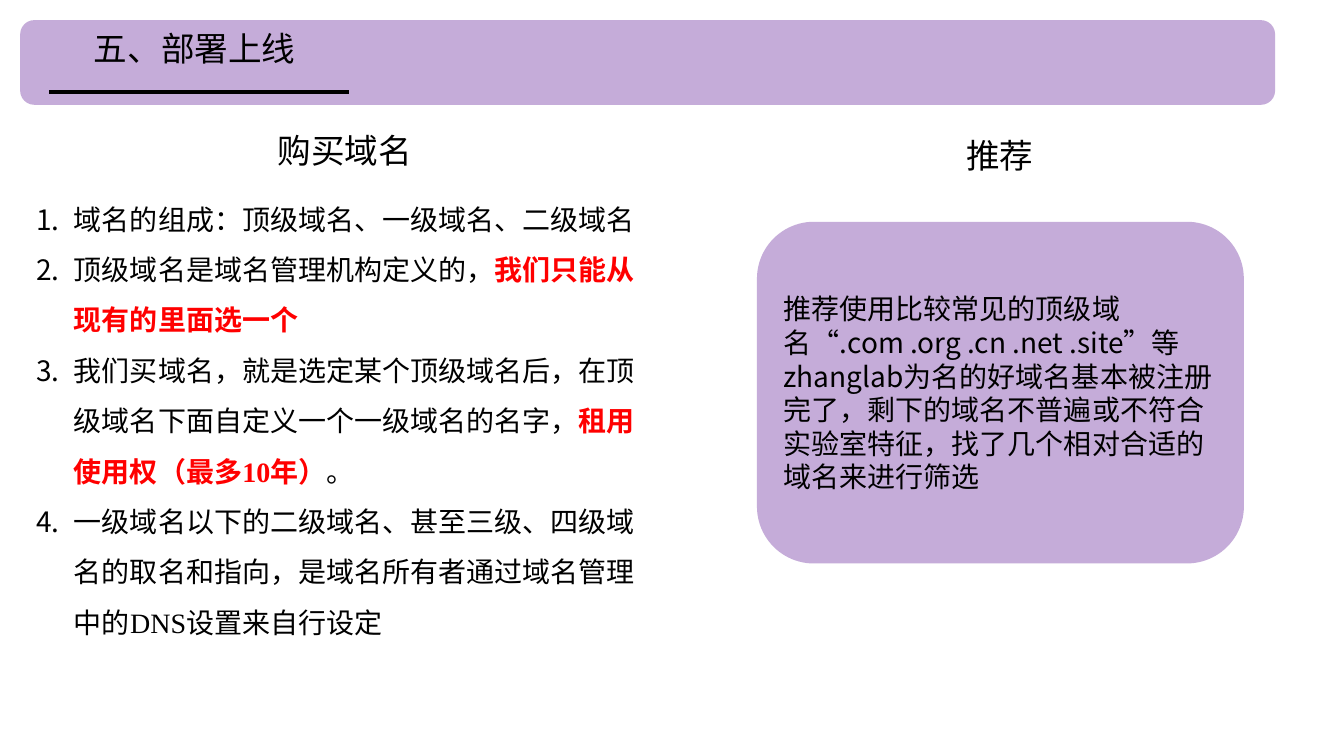
from lxml import etree
from pptx import Presentation
from pptx import util as u
from pptx.dml.color import RGBColor
from pptx.enum import lang, shapes, text
from pptx.oxml import ns

SANS, SERIF = "Noto Sans CJK SC", "Times New Roman"
COLORS = {"purple": "7030A0", "black": "000000", "red": "FF0000"}


def style(p, size, latin=SANS):
    for r in p.runs:
        r.font.size = u.Pt(size)
        r.font.name = latin
        r.font.language_id = lang.MSO_LANGUAGE_ID.SIMPLIFIED_CHINESE
        r.font.color.rgb = RGBColor.from_string(COLORS["black"])
        etree.SubElement(r.font._element, ns.qn("a:ea"), typeface=SANS)


def add_panel(left, top, width, height):
    sp = s.shapes.add_shape(shapes.MSO_SHAPE.ROUNDED_RECTANGLE, u.Pt(left),
                            u.Pt(top), u.Pt(width), u.Pt(height))
    sp.shadow.inherit = False
    sp.line.fill.background()
    sp.fill.solid()
    sp.fill.fore_color.rgb = RGBColor.from_string(COLORS["purple"])
    color = sp._element.spPr.find(".//" + ns.qn("a:srgbClr"))
    etree.SubElement(color, ns.qn("a:alpha"), val="40000")
    return sp


prs = Presentation()
prs.slide_width, prs.slide_height = u.Pt(960), u.Pt(540)
s = prs.slides.add_slide(prs.slide_layouts[5])

# Title bar with its underline
bar = add_panel(14.4, 14.4, 896.4, 60.5)
title = s.shapes.title
bar._element.addnext(title._element)
title.left, title.top = u.Pt(67), u.Pt(20)
title.width, title.height = u.Pt(800), u.Pt(36)
tf = title.text_frame
tf.text = "五、部署上线"
tf.auto_size = text.MSO_AUTO_SIZE.NONE
tf.vertical_anchor = text.MSO_ANCHOR.TOP
tf.margin_left = tf.margin_right = tf.margin_top = tf.margin_bottom = 0
tf.paragraphs[0].alignment = text.PP_ALIGN.LEFT
style(tf.paragraphs[0], 24)

underline = s.shapes.add_connector(shapes.MSO_CONNECTOR.STRAIGHT,
                                   u.Pt(35.3), u.Pt(65.8), u.Pt(249.4), u.Pt(65.8))
underline.line.color.rgb = RGBColor.from_string(COLORS["black"])
underline.line.width = u.Pt(3)
etree.SubElement(underline._element.spPr, ns.qn("a:effectLst"))

# Numbered list: each item is a list of (wording, highlighted) pieces
items = [
    [("域名的组成：顶级域名、一级域名、二级域名", False)],
    [("顶级域名是域名管理机构定义的，", False),
     ("我们只能从现有的里面选一个", True)],
    [("我们买域名，就是选定某个顶级域名后，在顶级域名下面自定义一个一级域名的名字，", False),
     ("租用使用权（最多10年）", True), ("。", False)],
    [("一级域名以下的二级域名、甚至三级、四级域名的取名和指向，"
      "是域名所有者通过域名管理中的DNS设置来自行设定", False)],
]
tf = s.shapes.add_textbox(u.Pt(18.7), u.Pt(128.9), u.Pt(450), u.Pt(331.2)).text_frame
tf.word_wrap = True
for i, pieces in enumerate(items):
    p = tf.add_paragraph() if i else tf.paragraphs[0]
    pPr = p._p.get_or_add_pPr()
    indent = u.Pt(27)
    pPr.set("marL", str(indent))
    pPr.set("indent", str(-indent))
    etree.SubElement(pPr, ns.qn("a:buFont"), typeface=SANS)
    etree.SubElement(pPr, ns.qn("a:buAutoNum"), type="arabicPeriod")
    p.line_spacing = 1.5
    for wording, _ in pieces:
        p.add_run().text = wording
    style(p, 20, SERIF)
    for r, (_, highlighted) in zip(p.runs, pieces):
        if highlighted:
            r.font.bold = True
            r.font.color.rgb = RGBColor.from_string(COLORS["red"])

# Recommendation panel
tf = add_panel(540.7, 158.4, 347.8, 244.1).text_frame
tf.word_wrap = True
tf.vertical_anchor = text.MSO_ANCHOR.MIDDLE
tf.text = ("推荐使用比较常见的顶级域名“.com .org .cn .net .site”等\n"
           "zhanglab为名的好域名基本被注册完了，剩下的域名不普遍或不符合实验室特征，"
           "找了几个相对合适的域名来进行筛选")
for p in tf.paragraphs:
    p.alignment = text.PP_ALIGN.LEFT
    style(p, 20)

# Column headings
for heading, left, top in [("购买域名", 86.4, 89.3), ("推荐", 554.4, 92.9)]:
    tf = s.shapes.add_textbox(u.Pt(left), u.Pt(top), u.Pt(319.7), u.Pt(36)).text_frame
    tf.word_wrap = True
    tf.text = heading
    tf.paragraphs[0].alignment = text.PP_ALIGN.CENTER
    style(tf.paragraphs[0], 24)

prs.save("out.pptx")
